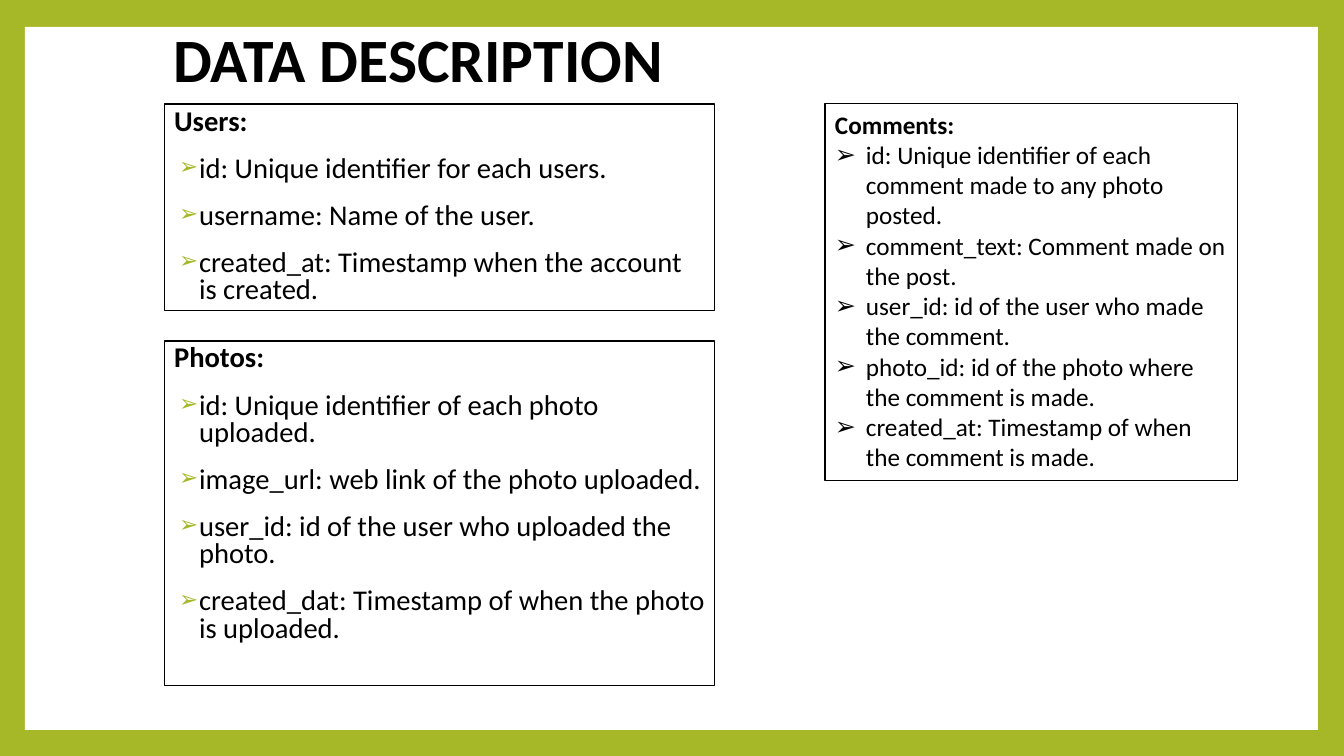
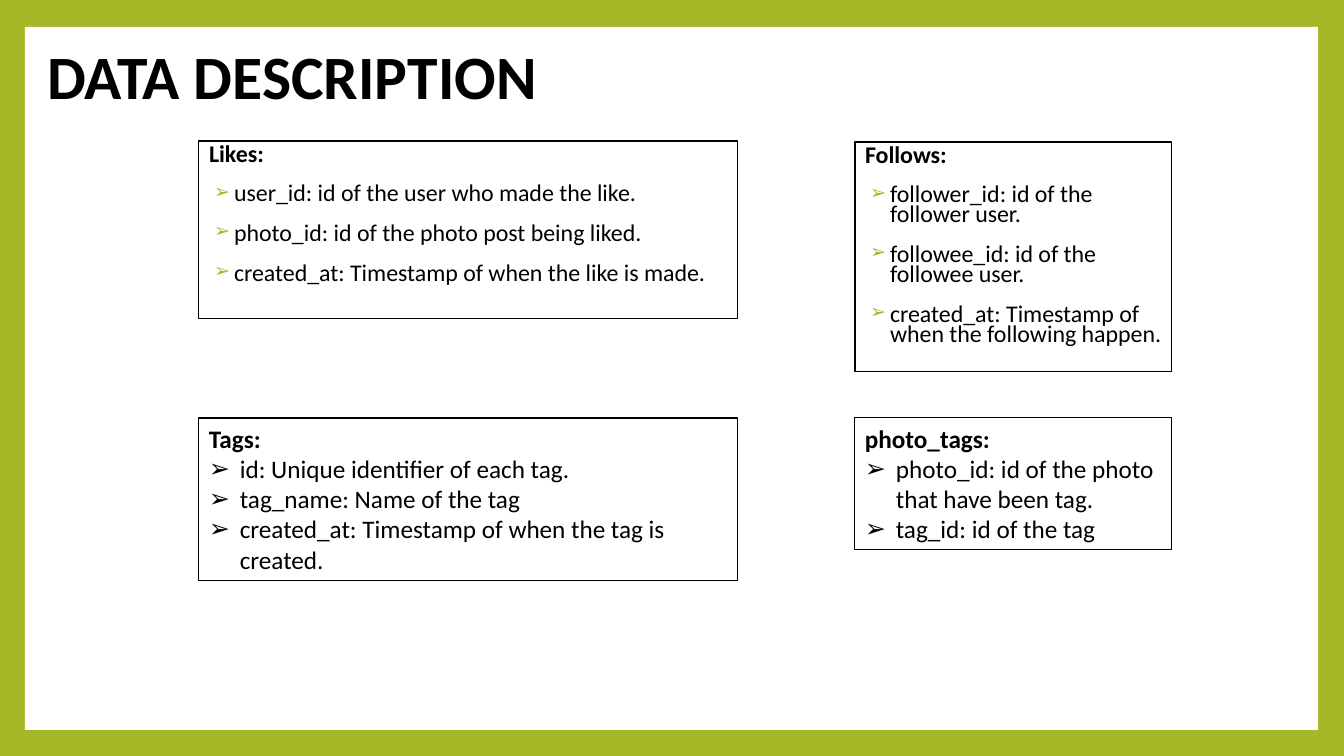
from dataclasses import dataclass

from lxml import etree
from pptx import Presentation
from pptx.dml.color import RGBColor
from pptx.enum.shapes import MSO_SHAPE
from pptx.enum.text import MSO_ANCHOR, MSO_AUTO_SIZE, PP_ALIGN
from pptx.oxml.ns import qn
from pptx.util import Emu, Pt

RECTANGLE = MSO_SHAPE.RECTANGLE
MIDDLE, TOP = MSO_ANCHOR.MIDDLE, MSO_ANCHOR.TOP
NO_FIT, GROW = MSO_AUTO_SIZE.NONE, MSO_AUTO_SIZE.SHAPE_TO_FIT_TEXT
LEFT = PP_ALIGN.LEFT

GREEN = RGBColor(0xA6, 0xB7, 0x27)
WHITE = RGBColor(0xFF, 0xFF, 0xFF)
BLACK = RGBColor(0x00, 0x00, 0x00)
FONT = "Calibri"
BULLET_FONT = "Arial"
BULLET = "➢"
TITLE = "DATA DESCRIPTION"
TWO_CONTENT = 3
SLIDE_SIZE = (1344, 756)
PANEL = (25, 27, 1293, 703)


@dataclass
class ListStyle:
    size: float
    line_spacing: float
    space_before: int
    margin: int
    hanging: int
    bullet_color: RGBColor = BLACK
    bullet_percent: int = 100
    placeholder: bool = True


LARGE = ListStyle(20.4, 0.8, 14, 25, 20, GREEN, 80)
COMPACT = ListStyle(17.1, 0.7, 14, 25, 20, GREEN, 80)
PLAIN = ListStyle(18, 1.0, 0, 31, 31, placeholder=False)

SLIDES = [
    {
        "title_box": (163, 21, 1105, 83),
        "tables": [
            ("Users:", LARGE, (164, 104, 551, 207), [
                "id: Unique identifier for each users.",
                "username: Name of the user.",
                "created_at: Timestamp when the account is created.",
            ]),
            ("Photos:", LARGE, (164, 341, 551, 345), [
                "id: Unique identifier of each photo uploaded.",
                "image_url: web link of the photo uploaded.",
                "user_id: id of the user who uploaded the photo.",
                "created_dat: Timestamp of when the photo is uploaded.",
            ]),
            ("Comments:", PLAIN, (825, 104, 413, 377), [
                "id: Unique identifier of each comment made to any photo posted.",
                "comment_text: Comment made on the post.",
                "user_id: id of the user who made the comment.",
                "photo_id: id of the photo where the comment is made.",
                "created_at: Timestamp of when the comment is made.",
            ]),
        ],
    },
    {
        "title_box": (37, 41, 1105, 77),
        "tables": [
            ("Likes:", COMPACT, (199, 141, 539, 178), [
                "user_id: id of the user who made the like.",
                "photo_id: id of the photo post being liked.",
                "created_at: Timestamp of when the like is made.",
            ]),
            ("Follows:", COMPACT, (855, 142, 317, 230), [
                "follower_id: id of the follower user.",
                "followee_id: id of the followee user.",
                "created_at: Timestamp of when the following happen.",
            ]),
            ("Tags:", PLAIN, (199, 418, 539, 163), [
                "id: Unique identifier of each tag.",
                "tag_name: Name of the tag",
                "created_at: Timestamp of when the tag is created.",
            ]),
            ("photo_tags:", PLAIN, (855, 418, 317, 132), [
                "photo_id: id of the photo that have been tag.",
                "tag_id: id of the tag",
            ]),
        ],
    },
]


def px(length):
    return Emu(round(length * 914400 / 100.8))


def place(shape, box):
    shape.left, shape.top, shape.width, shape.height = map(px, box)


def format_font(font, size, bold):
    font.name = FONT
    font.size = Pt(size)
    font.bold = bold
    font.color.rgb = BLACK


def set_bullet(paragraph, style, is_item):
    properties = paragraph._p.get_or_add_pPr()
    properties.set("marL", str(px(style.margin) if is_item else 0))
    properties.set("indent", str(-px(style.hanging) if is_item else 0))
    if not is_item:
        etree.SubElement(properties, qn("a:buNone"))
        return
    color = etree.SubElement(properties, qn("a:buClr"))
    etree.SubElement(color, qn("a:srgbClr"), val=str(style.bullet_color))
    etree.SubElement(properties, qn("a:buSzPct"), val=str(style.bullet_percent * 1000))
    etree.SubElement(properties, qn("a:buFont"), typeface=BULLET_FONT)
    etree.SubElement(properties, qn("a:buChar"), char=BULLET)


def fill_list(shape, heading, items, style):
    shape.line.color.rgb = BLACK
    shape.line.width = Pt(0.75)
    frame = shape.text_frame
    frame.text = "\n".join([heading, *items])
    frame.word_wrap = True
    frame.vertical_anchor = TOP
    frame.auto_size = NO_FIT if style.placeholder else GROW
    for index, paragraph in enumerate(frame.paragraphs):
        set_bullet(paragraph, style, index > 0)
        paragraph.alignment = LEFT
        paragraph.line_spacing = style.line_spacing
        paragraph.space_before = Pt(style.space_before if index else 0)
        for run in paragraph.runs:
            format_font(run.font, style.size, index == 0)


def set_title(title, box):
    place(title, box)
    frame = title.text_frame
    frame.text = TITLE
    frame.vertical_anchor = MIDDLE
    frame.auto_size = NO_FIT
    paragraph = frame.paragraphs[0]
    paragraph.alignment = LEFT
    paragraph.line_spacing = 0.9
    format_font(paragraph.runs[0].font, 44, True)


def add_frame(slide):
    slide.background.fill.solid()
    slide.background.fill.fore_color.rgb = GREEN
    panel = slide.shapes.add_shape(RECTANGLE, *map(px, PANEL))
    panel.shadow.inherit = False
    panel.fill.solid()
    panel.fill.fore_color.rgb = WHITE
    panel.line.fill.background()
    slide.shapes[0].element.addprevious(panel.element)


def build_slide(slide, content):
    add_frame(slide)
    set_title(slide.shapes.title, content["title_box"])
    bodies = iter(list(slide.placeholders)[1:])
    for heading, style, box, items in content["tables"]:
        if style.placeholder:
            shape = next(bodies)
            place(shape, box)
        else:
            shape = slide.shapes.add_textbox(*map(px, box))
        fill_list(shape, heading, items, style)


def main():
    presentation = Presentation()
    presentation.slide_width, presentation.slide_height = map(px, SLIDE_SIZE)
    layout = presentation.slide_layouts[TWO_CONTENT]
    for content in SLIDES:
        build_slide(presentation.slides.add_slide(layout), content)
    presentation.save("out.pptx")


if __name__ == "__main__":
    main()
